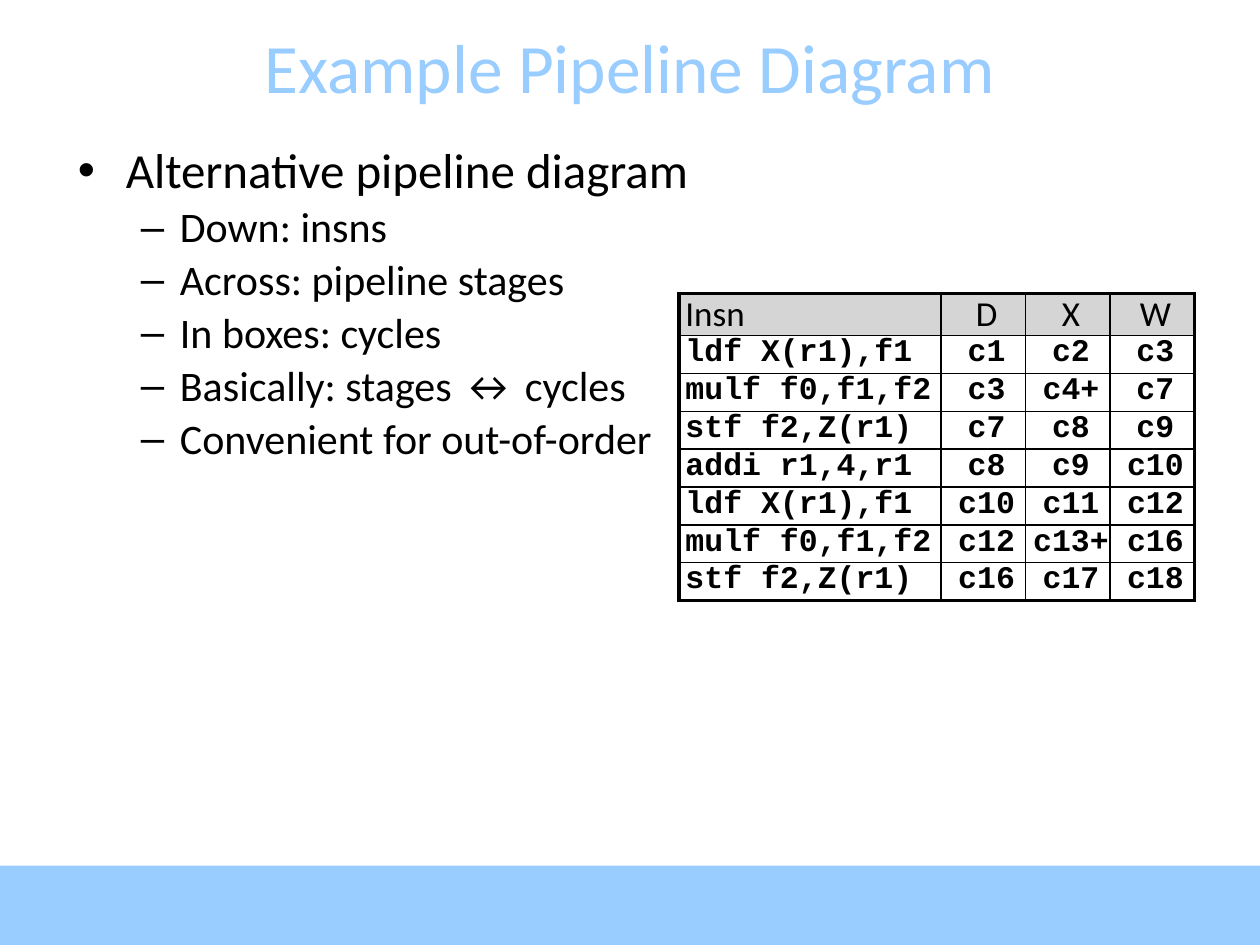
from lxml.etree import SubElement
from pptx import Presentation
from pptx.dml.color import RGBColor
from pptx.enum.shapes import MSO_SHAPE
from pptx.enum.text import MSO_ANCHOR, PP_ALIGN
from pptx.oxml.ns import qn
from pptx.util import Inches, Pt

# Content
TITLE = "Example Pipeline Diagram"
POINTS = [
    (0, "Alternative pipeline diagram"),
    (1, "Down: insns"),
    (1, "Across: pipeline stages"),
    (1, "In boxes: cycles"),
    (1, "Basically: stages ↔ cycles"),
    (1, "Convenient for out-of-order"),
]
STAGES = [
    ("Insn", "D", "X", "W"),
    ("ldf X(r1),f1", "c1", "c2", "c3"),
    ("mulf f0,f1,f2", "c3", "c4+", "c7"),
    ("stf f2,Z(r1)", "c7", "c8", "c9"),
    ("addi r1,4,r1", "c8", "c9", "c10"),
    ("ldf X(r1),f1", "c10", "c11", "c12"),
    ("mulf f0,f1,f2", "c12", "c13+", "c16"),
    ("stf f2,Z(r1)", "c16", "c17", "c18"),
]

# Theme
THEME = {
    "sky": "99CCFF", "ink": "000000", "head": "D5D5D5",
    "font": "Calibri", "code": "Courier New",
    "title": 39.6, "levels": (28, 24), "label": 20, "cell": 18,
    "thick": 2.25, "thin": 1,
}
BULLETS = (("•", 0.38, 0.38), ("–", 0.81, 0.31))  # mark, indent, hang
WIDE, HIGH = 10, 7.5
BAND = 0.63
COLS, ROW = (2.08, 0.67, 0.67, 0.67), 0.27


def place(*box):
    return [Inches(v) for v in box]


def style(para, size, color="ink", font="font", bold=False):
    for run in para.runs:
        run.font.size = Pt(size)
        run.font.name = THEME[font]
        run.font.bold = bold
        run.font.color.rgb = RGBColor.from_string(THEME[color])


def bullet(para, level):
    mark, left, hang = BULLETS[level]
    props = para._p.get_or_add_pPr()
    props.set("marL", str(Inches(left)))
    props.set("indent", str(-Inches(hang)))
    SubElement(props, qn("a:buFont"), typeface="Arial")
    SubElement(props, qn("a:buChar"), char=mark)


def border(cell, side, width):
    line = SubElement(cell._tc.get_or_add_tcPr(), qn("a:ln" + side),
                      w=str(Pt(width)))
    fill = SubElement(line, qn("a:solidFill"))
    SubElement(fill, qn("a:srgbClr"), val=THEME["ink"])


deck = Presentation()
deck.slide_width, deck.slide_height = place(WIDE, HIGH)
slide = deck.slides.add_slide(deck.slide_layouts[6])
shapes = slide.shapes

# Footer band
band = shapes.add_shape(MSO_SHAPE.RECTANGLE,
                        *place(0, HIGH - BAND, WIDE, BAND))
band.shadow.inherit = False
band.fill.solid()
band.fill.fore_color.rgb = RGBColor.from_string(THEME["sky"])
band.line.fill.background()

# Title
frame = shapes.add_textbox(*place(0, 0.21, WIDE, 0.63)).text_frame
frame.word_wrap = True
frame.vertical_anchor = MSO_ANCHOR.MIDDLE
frame.text = TITLE
frame.paragraphs[0].alignment = PP_ALIGN.CENTER
style(frame.paragraphs[0], THEME["title"], "sky")

# Bullet list
frame = shapes.add_textbox(*place(0.52, 1.11, 9, 5.56)).text_frame
frame.word_wrap = True
frame.text = "\n".join(text for _, text in POINTS)
for n, (para, (level, _)) in enumerate(zip(frame.paragraphs, POINTS)):
    para.level = level
    para.line_spacing = 0.9
    para.space_before = Pt(4.3 if n else 0)
    bullet(para, level)
    style(para, THEME["levels"][level])

# Pipeline table
rows, cols = len(STAGES), len(COLS)
table = shapes.add_table(
    rows, cols, *place(5.39, 2.33, sum(COLS), ROW * rows)).table
table.horz_banding = False
for col, width in zip(table.columns, COLS):
    col.width = Inches(width)
for r, items in enumerate(STAGES):
    table.rows[r].height = Inches(ROW)
    for c, text in enumerate(items):
        cell = table.cell(r, c)
        cell.text = text
        cell.margin_left = Inches(0.05)
        cell.margin_right = cell.margin_top = cell.margin_bottom = 0
        edges = {"L": c == 0, "R": c == cols - 1,
                 "T": r == 0, "B": r == rows - 1}
        for side, outer in edges.items():
            border(cell, side, THEME["thick" if outer else "thin"])
        para = cell.text_frame.paragraphs[0]
        para.alignment = PP_ALIGN.CENTER if c else PP_ALIGN.LEFT
        if r == 0:
            cell.fill.solid()
            cell.fill.fore_color.rgb = RGBColor.from_string(THEME["head"])
            style(para, THEME["label"])
        else:
            cell.fill.background()
            style(para, THEME["cell"], font="code", bold=True)

deck.save("out.pptx")
